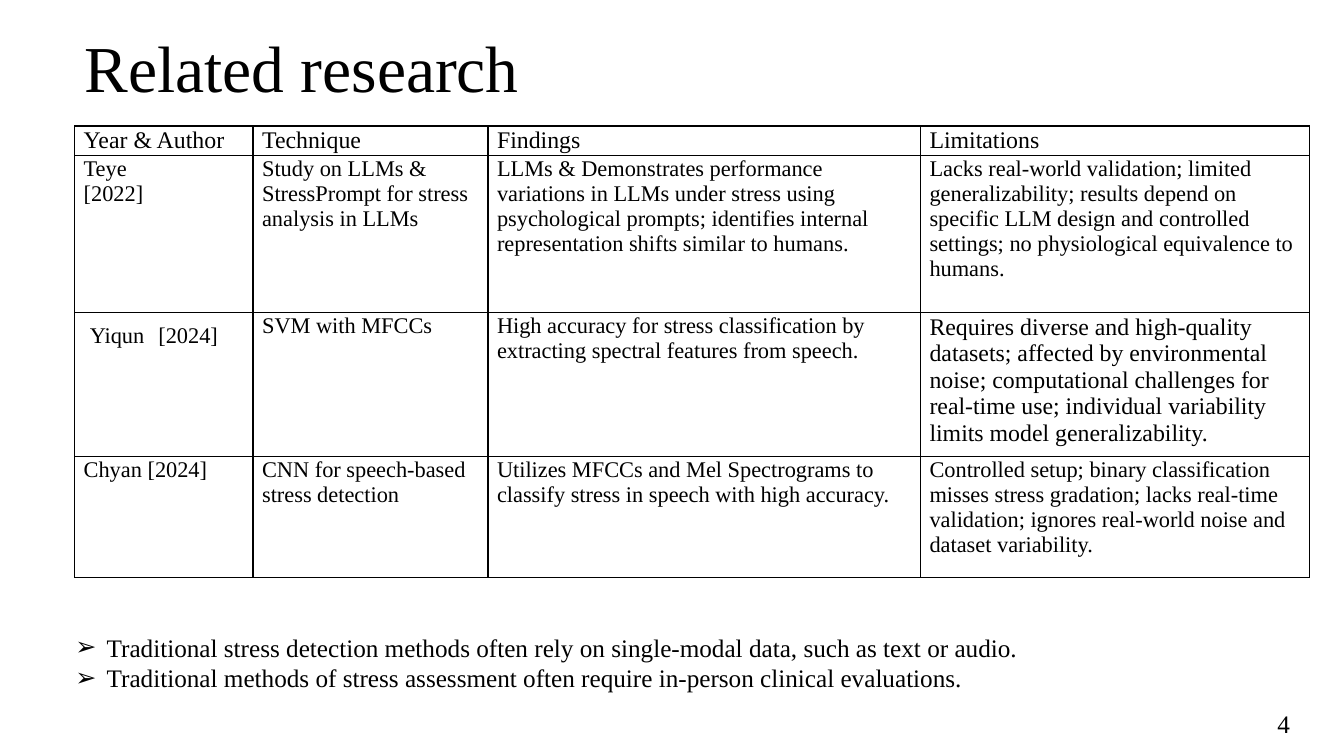
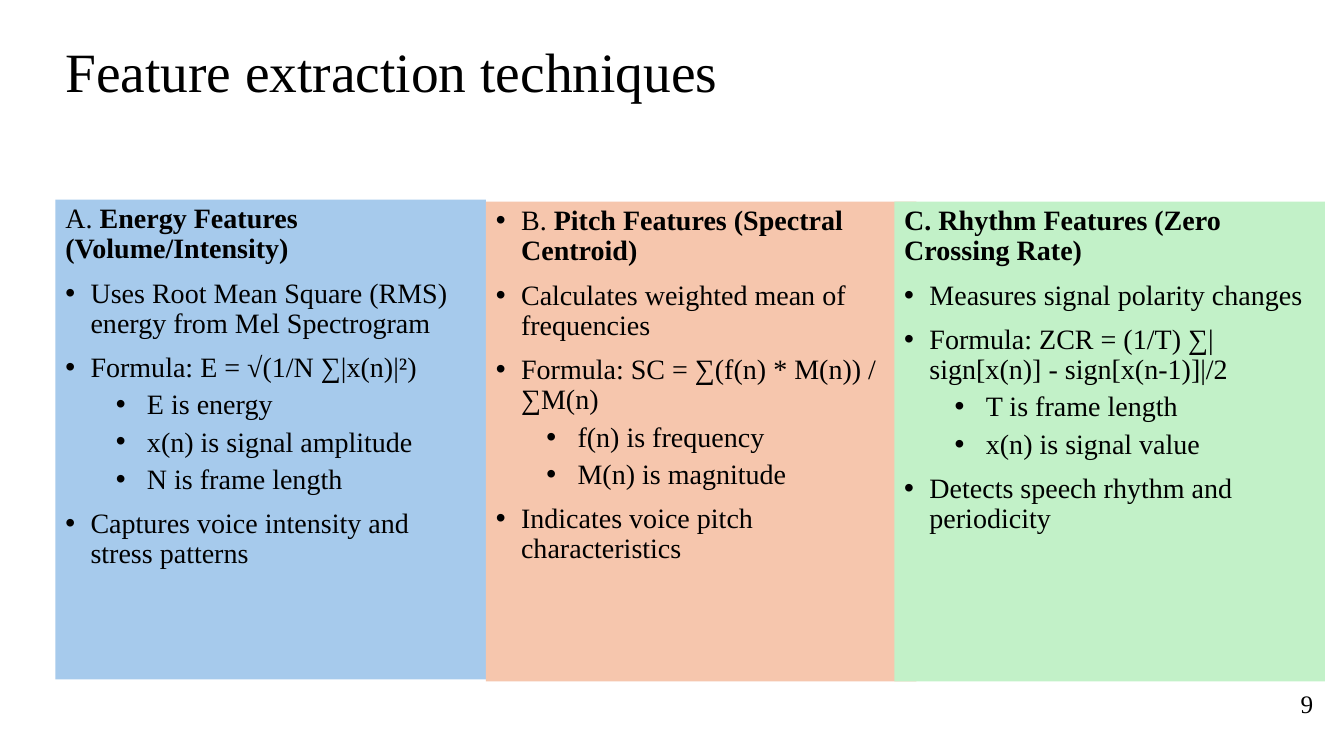
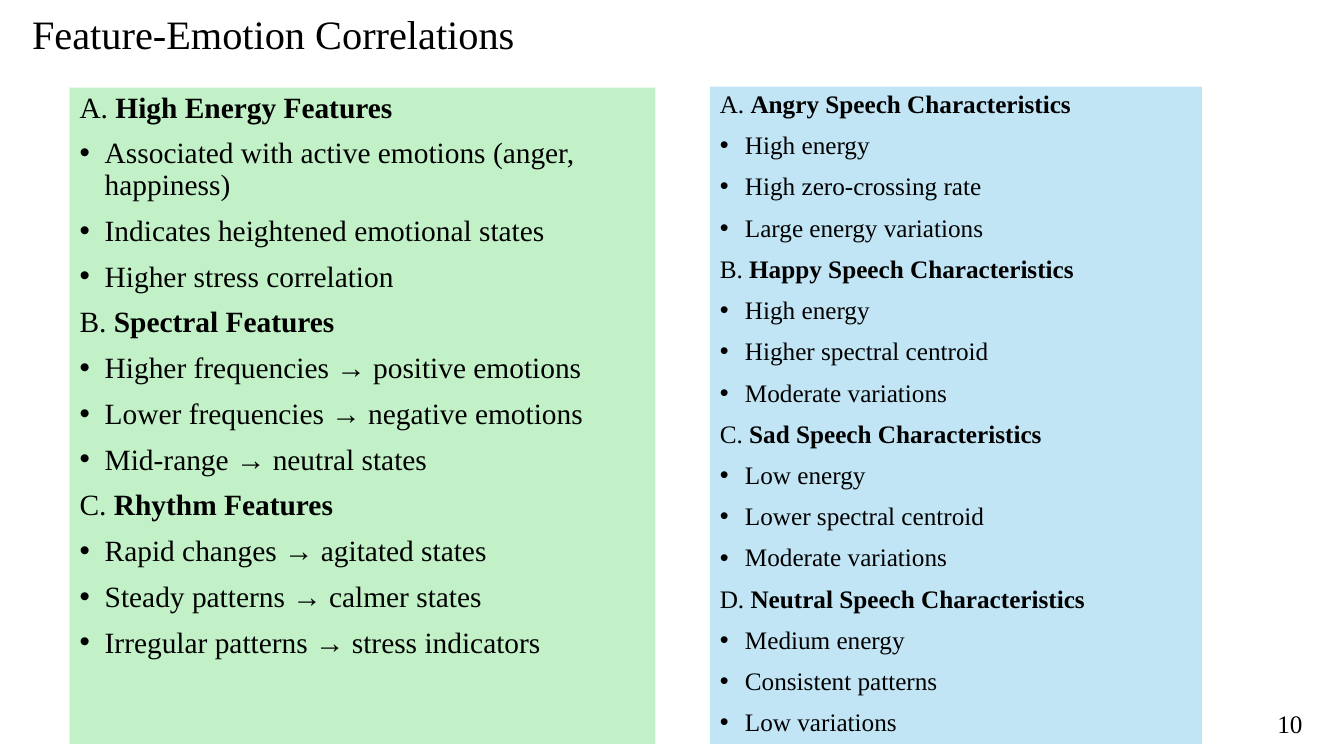
import dataclasses

import pptx
import pptx.dml.color
import pptx.enum.shapes
import pptx.enum.text
import pptx.oxml
import pptx.oxml.ns
import pptx.util

Inches = pptx.util.Inches
ANCHOR = pptx.enum.text.MSO_ANCHOR


@dataclasses.dataclass(frozen=True)
class Theme:
    font: str = "Times New Roman"
    ink: str = "000000"
    white: str = "FFFFFF"
    blue: str = "A6CAEC"
    orange: str = "F6C6AD"
    green: str = "C2F1C8"
    sky: str = "C1E5F5"
    title_large: float = 46.8
    title_medium: float = 39.6
    title_small: float = 28.8
    card_large: float = 21
    card_medium: float = 20
    body: float = 18
    table_large: float = 17
    table_body: float = 16
    table_gap: float = 24
    border: float = 1
    number_border: float = 0.75


@dataclasses.dataclass(frozen=True)
class ParagraphStyle:
    margin: float = 0
    hanging: float = 0
    bullet: str = ""
    level: int = 0
    line_spacing: float = 1.0
    space_before: float = 0


THEME = Theme()
PLAIN = ParagraphStyle()
TITLE = ParagraphStyle(line_spacing=0.9)
ARROW = ParagraphStyle(0.31, 0.31, "➢")
HEADING = ParagraphStyle(line_spacing=0.9, space_before=10)
BULLET = ParagraphStyle(0.25, 0.25, "•", 0, 0.9, 10)
DETAIL = ParagraphStyle(0.81, 0.31, "•", 1, 0.9, 5)

NUMBER_BOX = (12.57, 6.7, 0.65, 0.71)
TABLE_COLUMNS = (1.77, 2.33, 4.29, 3.86)
TABLE_ROWS = (0.28, 1.56, 1.03, 1.2)
RESEARCH = (
    ("Year & Author", "Technique", "Findings", "Limitations"),
    (
        "Teye\n[2022]",
        "Study on LLMs & StressPrompt for stress analysis in LLMs",
        "LLMs & Demonstrates performance variations in LLMs under stress using "
        "psychological prompts; identifies internal representation shifts similar to humans.",
        "Lacks real-world validation; limited generalizability; results depend on specific "
        "LLM design and controlled settings; no physiological equivalence to humans.",
    ),
    (
        "Yiqun [2024]",
        "SVM with MFCCs",
        "High accuracy for stress classification by extracting spectral features from speech.",
        "Requires diverse and high-quality datasets; affected by environmental noise; "
        "computational challenges for real-time use; individual variability limits model "
        "generalizability.",
    ),
    (
        "Chyan [2024]",
        "CNN for speech-based stress detection",
        "Utilizes MFCCs and Mel Spectrograms to classify stress in speech with high accuracy.",
        "Controlled setup; binary classification misses stress gradation; lacks real-time "
        "validation; ignores real-world noise and dataset variability.",
    ),
)


def set_attributes(target, values):
    for name, value in values.items():
        setattr(target, name, value)


def color(value):
    return pptx.dml.color.RGBColor.from_string(value)


def add_run(paragraph, text, size, bold=False):
    run = paragraph.add_run()
    run.text = text
    set_attributes(run.font, {"name": THEME.font, "size": pptx.util.Pt(size), "bold": bold})
    run.font.color.rgb = color(THEME.ink)


def style_paragraph(paragraph, style):
    set_attributes(paragraph, {
        "level": style.level,
        "line_spacing": style.line_spacing,
        "space_before": pptx.util.Pt(style.space_before),
        "alignment": pptx.enum.text.PP_ALIGN.LEFT,
    })
    properties = paragraph._p.get_or_add_pPr()
    properties.set("marL", str(Inches(style.margin)))
    properties.set("indent", str(Inches(-style.hanging)))
    if style.bullet:
        namespace = pptx.oxml.ns.nsdecls("a")
        for element in ('buFont typeface="Arial"', f'buChar char="{style.bullet}"'):
            properties.append(pptx.oxml.parse_xml(f"<a:{element} {namespace}/>"))


def write_paragraphs(frame, paragraphs, size):
    """Fill a frame from (style, plain text, bold text) entries."""
    for index, (style, plain, bold) in enumerate(paragraphs):
        paragraph = frame.add_paragraph() if index else frame.paragraphs[0]
        style_paragraph(paragraph, style)
        if plain:
            add_run(paragraph, plain, size)
        if bold:
            add_run(paragraph, bold, size, True)


def add_text(slide, box, paragraphs, size, anchor=ANCHOR.TOP):
    shape = slide.shapes.add_textbox(*map(Inches, box))
    set_attributes(shape.text_frame, {"word_wrap": True, "vertical_anchor": anchor})
    write_paragraphs(shape.text_frame, paragraphs, size)


def add_rectangle(slide, box, paragraphs, size, anchor=ANCHOR.TOP):
    shape = slide.shapes.add_shape(
        pptx.enum.shapes.MSO_SHAPE.RECTANGLE, *map(Inches, box))
    shape.shadow.inherit = False
    set_attributes(shape.text_frame, {"word_wrap": True, "vertical_anchor": anchor})
    write_paragraphs(shape.text_frame, paragraphs, size)
    return shape


def add_card(slide, box, fill, paragraphs, size):
    shape = add_rectangle(slide, box, paragraphs, size)
    shape.fill.solid()
    shape.fill.fore_color.rgb = color(fill)
    shape.line.fill.background()


def add_page_number(slide, number, box=NUMBER_BOX, inset=0.1):
    shape = add_rectangle(slide, box, [(PLAIN, number, "")], THEME.body, ANCHOR.BOTTOM)
    shape.fill.background()
    shape.line.color.rgb = color(THEME.white)
    shape.line.width = pptx.util.Pt(THEME.number_border)
    set_attributes(shape.text_frame, {
        "margin_left": Inches(inset), "margin_bottom": Inches(0.08)})


def add_slide(presentation, title, box, size):
    slide = presentation.slides.add_slide(presentation.slide_layouts[6])
    add_text(slide, box, [(TITLE, title, "")], size, ANCHOR.MIDDLE)
    return slide


def section(label, name, *bullets):
    return [(HEADING, label, name)] + [(BULLET, text, "") for text in bullets]


def add_borders(cell):
    properties = cell._tc.get_or_add_tcPr()
    namespace = pptx.oxml.ns.nsdecls("a")
    width = pptx.util.Pt(THEME.border)
    for position, side in enumerate(("lnL", "lnR", "lnT", "lnB")):
        properties.insert(position, pptx.oxml.parse_xml(
            f'<a:{side} {namespace} w="{width}"><a:solidFill>'
            f'<a:srgbClr val="{THEME.ink}"/></a:solidFill></a:{side}>'))


def add_research_table(slide):
    table = slide.shapes.add_table(
        len(TABLE_ROWS), len(TABLE_COLUMNS), Inches(0.74), Inches(1.25),
        Inches(sum(TABLE_COLUMNS)), Inches(sum(TABLE_ROWS))).table
    set_attributes(table, {"first_row": False, "horz_banding": False})
    for column, width in zip(table.columns, TABLE_COLUMNS):
        column.width = Inches(width)
    for row, height in zip(table.rows, TABLE_ROWS):
        row.height = Inches(height)
    for row_index, texts in enumerate(RESEARCH):
        for column_index, text in enumerate(texts):
            cell = table.cell(row_index, column_index)
            cell.fill.background()
            set_attributes(cell, {
                "margin_left": Inches(0.09), "margin_right": Inches(0.09),
                "margin_top": Inches(0.01), "margin_bottom": 0,
            })
            add_borders(cell)
            large = row_index == 0 or (row_index, column_index) == (2, 3)
            size = THEME.table_large if large else THEME.table_body
            if (row_index, column_index) == (2, 0):
                cell.margin_left = Inches(0.15)
                author, year = text.split()
                paragraph = cell.text_frame.paragraphs[0]
                add_run(paragraph, author + " ", size)
                add_run(paragraph, " ", THEME.table_gap)
                add_run(paragraph, year, size)
            else:
                lines = [(PLAIN, line, "") for line in text.split("\n")]
                write_paragraphs(cell.text_frame, lines, size)


def build_related_research(presentation):
    slide = add_slide(presentation, "Related research", (0.74, 0.29, 11.5, 0.84),
                      THEME.title_large)
    add_research_table(slide)
    add_text(slide, (0.65, 6.22, 10.43, 0.71), [
        (ARROW, "Traditional stress detection methods often rely on single-modal data, "
                "such as text or audio.", ""),
        (ARROW, "Traditional methods of stress assessment often require in-person "
                "clinical evaluations.", ""),
    ], THEME.body)
    add_page_number(slide, "4")


def build_feature_extraction(presentation):
    slide = add_slide(presentation, "Feature extraction techniques", (0.55, 0.4, 11.5, 0.67),
                      THEME.title_medium)
    energy = [
        *section("A. ", "Energy Features (Volume/Intensity)",
                 "Uses Root Mean Square (RMS) energy from Mel Spectrogram",
                 "Formula: E = √(1/N ∑|x(n)|²)"),
        (DETAIL, "E is energy", ""),
        (DETAIL, "x(n) is signal amplitude", ""),
        (DETAIL, "N is frame length", ""),
        (BULLET, "Captures voice intensity and stress patterns", ""),
    ]
    pitch = [
        (BULLET, "B. ", "Pitch Features (Spectral Centroid)"),
        (BULLET, "Calculates weighted mean of frequencies", ""),
        (BULLET, "Formula: SC = ∑(f(n) * M(n)) / ∑M(n)", ""),
        (DETAIL, "f(n) is frequency", ""),
        (DETAIL, "M(n) is magnitude", ""),
        (BULLET, "Indicates voice pitch characteristics", ""),
    ]
    rhythm = [
        *section("", "C. Rhythm Features (Zero Crossing Rate)",
                 "Measures signal polarity changes",
                 "Formula: ZCR = (1/T) ∑|sign[x(n)] - sign[x(n-1)]|/2"),
        (DETAIL, "T is frame length", ""),
        (DETAIL, "x(n) is signal value", ""),
        (BULLET, "Detects speech rhythm and periodicity", ""),
    ]
    for left, top, fill, paragraphs in (
        (0.55, 1.98, THEME.blue, energy),
        (4.82, 2.0, THEME.orange, pitch),
        (8.87, 2.0, THEME.green, rhythm),
    ):
        add_card(slide, (left, top, 4.27, 4.76), fill, paragraphs, THEME.card_medium)
    add_page_number(slide, "9", (12.55, 6.81, 0.65, 0.4), 0.35)


def build_emotion_correlations(presentation):
    slide = add_slide(presentation, "Feature-Emotion Correlations", (0.22, 0.12, 11.5, 0.49),
                      THEME.title_small)
    features = [
        *section("A. ", "High Energy Features",
                 "Associated with active emotions (anger, happiness)",
                 "Indicates heightened emotional states", "Higher stress correlation"),
        *section("B. ", "Spectral Features",
                 "Higher frequencies → positive emotions",
                 "Lower frequencies → negative emotions", "Mid-range → neutral states"),
        *section("C. ", "Rhythm Features",
                 "Rapid changes → agitated states", "Steady patterns → calmer states",
                 "Irregular patterns → stress indicators"),
    ]
    emotions = [
        *section("A. ", "Angry Speech Characteristics",
                 "High energy", "High zero-crossing rate", "Large energy variations"),
        *section("B. ", "Happy Speech Characteristics",
                 "High energy", "Higher spectral centroid", "Moderate variations"),
        *section("C. ", "Sad Speech Characteristics",
                 "Low energy", "Lower spectral centroid", "Moderate variations"),
        *section("D. ", "Neutral Speech Characteristics",
                 "Medium energy", "Consistent patterns", "Low variations"),
    ]
    add_card(slide, (0.69, 0.87, 5.81, 6.51), THEME.green, features, THEME.card_large)
    add_card(slide, (7.04, 0.86, 4.88, 6.52), THEME.sky, emotions, THEME.body)
    add_page_number(slide, "10")


def main():
    presentation = pptx.Presentation()
    set_attributes(presentation, {
        "slide_width": Inches(13.33), "slide_height": Inches(7.5)})
    build_related_research(presentation)
    build_feature_extraction(presentation)
    build_emotion_correlations(presentation)
    presentation.save("out.pptx")


if __name__ == "__main__":
    main()
